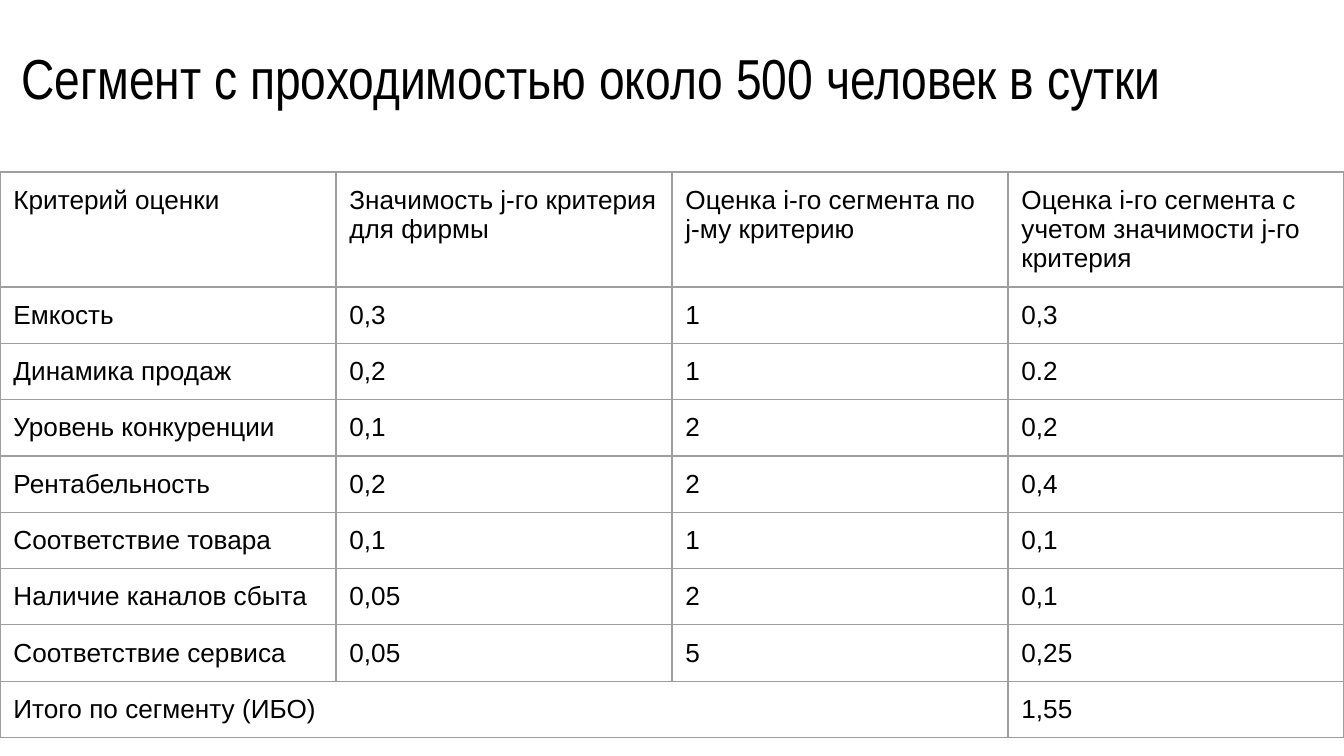
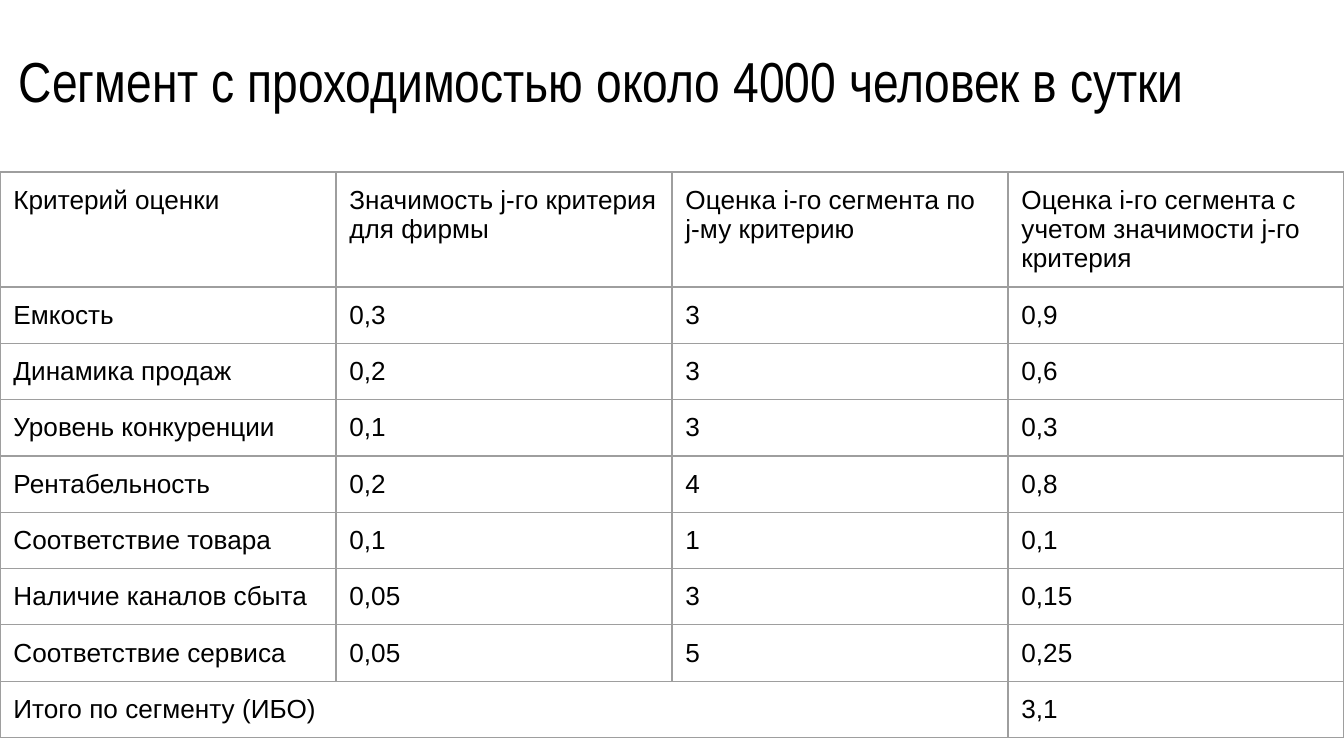
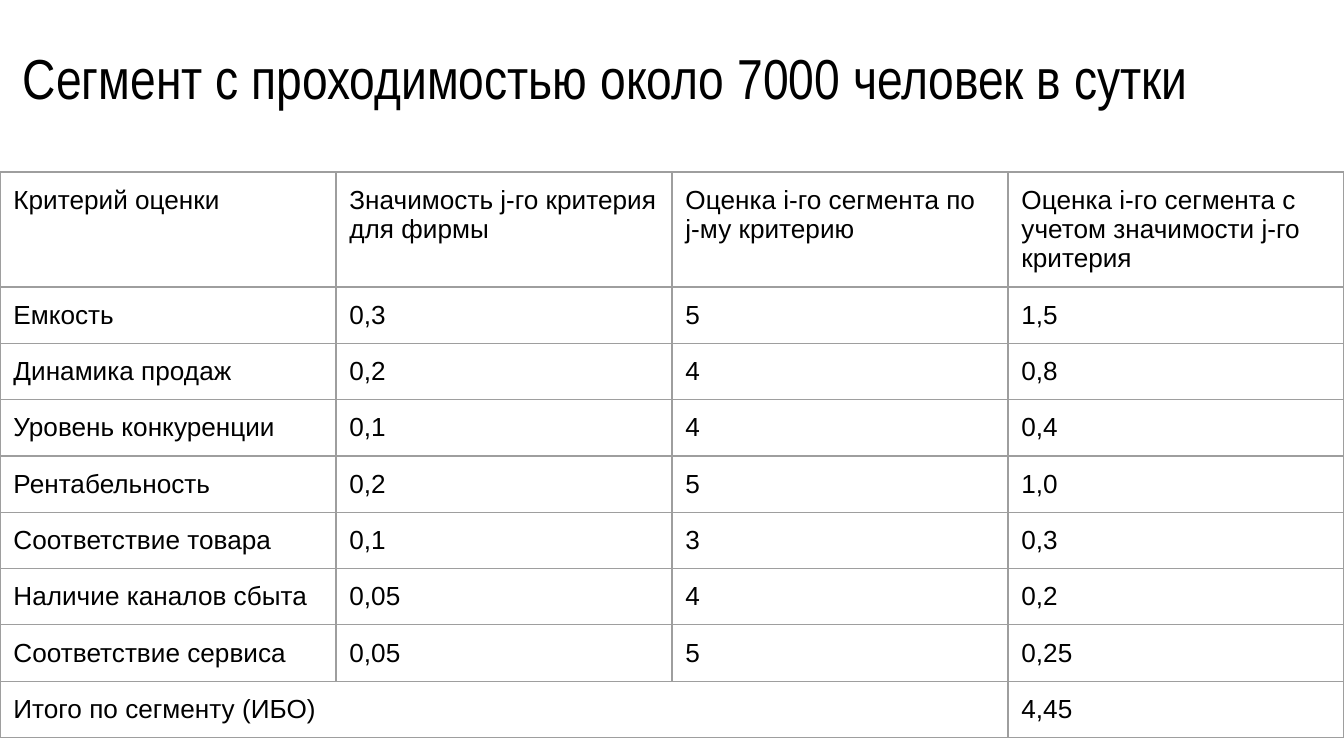
from lxml.etree import SubElement
from pptx import Presentation
from pptx.dml.color import RGBColor
from pptx.enum.text import MSO_ANCHOR, MSO_AUTO_SIZE, PP_ALIGN
from pptx.oxml.ns import qn
from pptx.util import Inches, Pt

COLORS = {"text": "000000", "border": "9E9E9E"}
TITLE_FONT = "Arial Narrow"
TABLE_FONT = "Arial"
TITLE_ONLY = 5
COLUMN_WIDTH = Inches(2.5)
ROW_HEIGHT = Pt(30)
TABLE_TOP = Inches(1.28)

HEADERS = [
    "Критерий оценки",
    "Значимость j-го критерия для фирмы",
    "Оценка i-го сегмента по j-му критерию",
    "Оценка i-го сегмента с учетом значимости j-го критерия",
]
CRITERIA = [
    ("Емкость", "0,3"),
    ("Динамика продаж", "0,2"),
    ("Уровень конкуренции", "0,1"),
    ("Рентабельность", "0,2"),
    ("Соответствие товара", "0,1"),
    ("Наличие каналов сбыта", "0,05"),
    ("Соответствие сервиса", "0,05"),
]
TOTAL_LABEL = "Итого по сегменту (ИБО)"

SEGMENTS = [
    {
        "visitors": "500",
        "title_box": (0.09, 0.29, 9.71, 0.63),
        "scores": ["1", "1", "2", "2", "1", "2", "5"],
        "weighted": ["0,3", "0.2", "0,2", "0,4", "0,1", "0,1", "0,25"],
        "total": "1,55",
    },
    {
        "visitors": "4000",
        "title_box": (0.07, 0.31, 9.85, 0.63),
        "scores": ["3", "3", "3", "4", "1", "3", "5"],
        "weighted": ["0,9", "0,6", "0,3", "0,8", "0,1", "0,15", "0,25"],
        "total": "3,1",
    },
    {
        "visitors": "7000",
        "title_box": (0.1, 0.29, 9.9, 0.63),
        "scores": ["5", "4", "4", "5", "3", "4", "5"],
        "weighted": ["1,5", "0,8", "0,4", "1,0", "0,3", "0,2", "0,25"],
        "total": "4,45",
    },
]


def set_font(paragraph, name, size):
    paragraph.font.name = name
    paragraph.font.size = Pt(size)
    paragraph.font.bold = False
    paragraph.font.color.rgb = RGBColor.from_string(COLORS["text"])


def set_title(slide, text, box):
    title = slide.shapes.title
    title.left, title.top, title.width, title.height = map(Inches, box)
    frame = title.text_frame
    frame.text = text
    frame.word_wrap = True
    frame.auto_size = MSO_AUTO_SIZE.NONE
    frame.vertical_anchor = MSO_ANCHOR.MIDDLE
    frame.margin_left = frame.margin_right = Inches(0.07)
    frame.margin_top = frame.margin_bottom = Inches(0.04)
    paragraph = frame.paragraphs[0]
    paragraph.alignment = PP_ALIGN.LEFT
    paragraph.line_spacing = 0.9
    set_font(paragraph, TITLE_FONT, 30.2)


def set_borders(cell):
    properties = cell._tc.get_or_add_tcPr()
    for side in ("a:lnL", "a:lnR", "a:lnT", "a:lnB"):
        line = SubElement(properties, qn(side), w=str(Pt(0.75)))
        fill = SubElement(line, qn("a:solidFill"))
        SubElement(fill, qn("a:srgbClr"), val=COLORS["border"])


def format_cell(cell, text):
    cell.text = text
    cell.margin_left = cell.margin_right = Inches(0.1)
    cell.margin_top = cell.margin_bottom = Inches(0.1)
    cell.vertical_anchor = MSO_ANCHOR.TOP
    set_borders(cell)
    cell.fill.background()
    set_font(cell.text_frame.paragraphs[0], TABLE_FONT, 14)


def segment_rows(segment):
    scored = zip(CRITERIA, segment["scores"], segment["weighted"])
    body = [[*criterion, score, weighted] for criterion, score, weighted in scored]
    return [HEADERS, *body, [TOTAL_LABEL, "", "", segment["total"]]]


def add_score_table(slide, rows):
    column_count = len(HEADERS)
    table = slide.shapes.add_table(
        len(rows), column_count, 0, TABLE_TOP,
        COLUMN_WIDTH * column_count, ROW_HEIGHT * len(rows),
    ).table
    table.first_row = False
    table.horz_banding = False
    for row_index, row in enumerate(rows):
        for column_index, text in enumerate(row):
            format_cell(table.cell(row_index, column_index), text)
    last_row = len(rows) - 1
    table.cell(last_row, 0).merge(table.cell(last_row, column_count - 2))


def main():
    presentation = Presentation()
    presentation.slide_width = Inches(10)
    presentation.slide_height = presentation.slide_width * 9 // 16
    for segment in SEGMENTS:
        slide = presentation.slides.add_slide(presentation.slide_layouts[TITLE_ONLY])
        title = f"Сегмент с проходимостью около {segment['visitors']} человек в сутки"
        set_title(slide, title, segment["title_box"])
        add_score_table(slide, segment_rows(segment))
    presentation.save("out.pptx")


if __name__ == "__main__":
    main()
